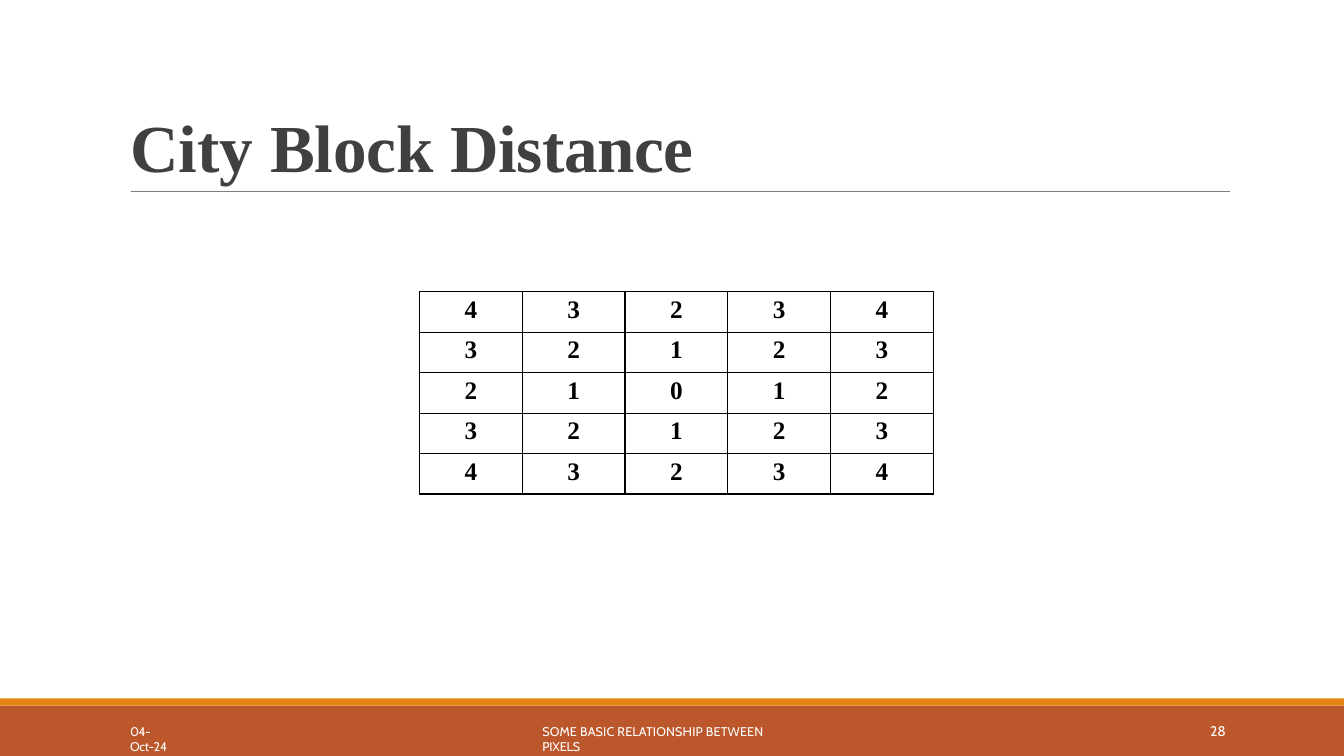
from lxml import etree
from pptx import Presentation
from pptx import util as u
from pptx.dml.color import RGBColor
from pptx.enum import shapes, text
from pptx.oxml.ns import qn

SERIF, SANS = "Times New Roman", "Cabin"
TITLE = [("City ", 0), ("Block ", -0.1), ("Distance", -0.3)]
DISTANCES = [
    [4, 3, 2, 3, 4],
    [3, 2, 1, 2, 3],
    [2, 1, 0, 1, 2],
    [3, 2, 1, 2, 3],
    [4, 3, 2, 3, 4],
]
# left, top, width, height in cm; size in points; (words, letter spacing in points)
FOOTERS = [
    ((30.5, 18.21, 0.54, 0.5), 10, [("28", -0.2)]),
    ((3.28, 18.24, 1.42, 0.43), 9, [("04-", -0.3), ("Oct-24", -0.2)]),
    ((13.67, 18.24, 6.53, 0.43), 9,
     [("SOME BASIC RELATIONSHIP BETWEEN ", 0.1), ("PIXELS", -0.1)]),
]
BANDS = [((0, 17.78, 33.87, 1.27), "BC572C"), ((0, 17.6, 33.87, 0.18), "E38312")]
TITLE_BOX = (3.28, 2.44, 15.54, 2.24)
RULE_LEFT, RULE_RIGHT, RULE_TOP = 3.3, 31, 4.82
TABLE_LEFT, TABLE_TOP, COLUMN, ROW = 10.57, 7.35, 2.59, 1.02


def color(value):
    return RGBColor.from_string(value)


def lengths(values):
    return [u.Cm(value) for value in values]


def add_spans(para, spans, font, size, fill, bold=False):
    """Add runs, each with its own letter spacing."""
    for words, spacing in spans:
        span = para.add_run()
        span.text = words
        span.font.name = font
        span.font.size = u.Pt(size)
        span.font.bold = bold
        span.font.color.rgb = color(fill)
        span.font._element.set("spc", str(round(spacing * 100)))


def set_frame(frame, top=0):
    frame.word_wrap = True
    frame.margin_left = frame.margin_right = frame.margin_bottom = 0
    frame.margin_top = u.Cm(top)


def add_borders(cell):
    properties = cell._tc.get_or_add_tcPr()
    for side in ("a:lnL", "a:lnR", "a:lnT", "a:lnB"):
        line = etree.SubElement(properties, qn(side), w=str(u.Pt(1)))
        fill = etree.SubElement(line, qn("a:solidFill"))
        etree.SubElement(fill, qn("a:srgbClr"), val="000000")


deck = Presentation()
deck.slide_width, deck.slide_height = u.Cm(33.87), u.Cm(19.05)
page = deck.slides.add_slide(deck.slide_layouts[5])

for place, fill in BANDS:
    band = page.shapes.add_shape(shapes.MSO_SHAPE.RECTANGLE, *lengths(place))
    band.shadow.inherit = False
    band.fill.solid()
    band.fill.fore_color.rgb = color(fill)
    band.line.fill.background()

rule = page.shapes.add_connector(
    shapes.MSO_CONNECTOR.STRAIGHT,
    *lengths((RULE_LEFT, RULE_TOP, RULE_RIGHT, RULE_TOP)))
rule.line.color.rgb = color("7E7E7E")
rule.line.width = u.Pt(0.48)
etree.SubElement(rule._element.spPr, qn("a:effectLst"))

title = page.shapes.title
title.left, title.top, title.width, title.height = lengths(TITLE_BOX)
set_frame(title.text_frame, 0.18)
title.text_frame.auto_size = text.MSO_AUTO_SIZE.NONE
title.text_frame.vertical_anchor = text.MSO_ANCHOR.BOTTOM
heading = title.text_frame.paragraphs[0]
heading.alignment = text.PP_ALIGN.LEFT
add_spans(heading, TITLE, SERIF, 48, "404040", bold=True)

count = len(DISTANCES)
table = page.shapes.add_table(
    count, count,
    *lengths((TABLE_LEFT, TABLE_TOP, COLUMN * count, ROW * count))).table
table.first_row = table.horz_banding = False
for column in table.columns:
    column.width = u.Cm(COLUMN)
for row, values in zip(table.rows, DISTANCES):
    row.height = u.Cm(ROW)
    for cell, value in zip(row.cells, values):
        cell.margin_left = cell.margin_right = cell.margin_bottom = 0
        cell.margin_top = u.Cm(0.1)
        add_borders(cell)
        cell.fill.background()
        para = cell.text_frame.paragraphs[0]
        para.alignment = text.PP_ALIGN.CENTER
        add_spans(para, [(str(value), -0.5)], SERIF, 18, "000000", bold=True)

for place, size, spans in FOOTERS:
    box = page.shapes.add_textbox(*lengths(place))
    set_frame(box.text_frame)
    add_spans(box.text_frame.paragraphs[0], spans, SANS, size, "FFFFFF")

deck.save("out.pptx")
